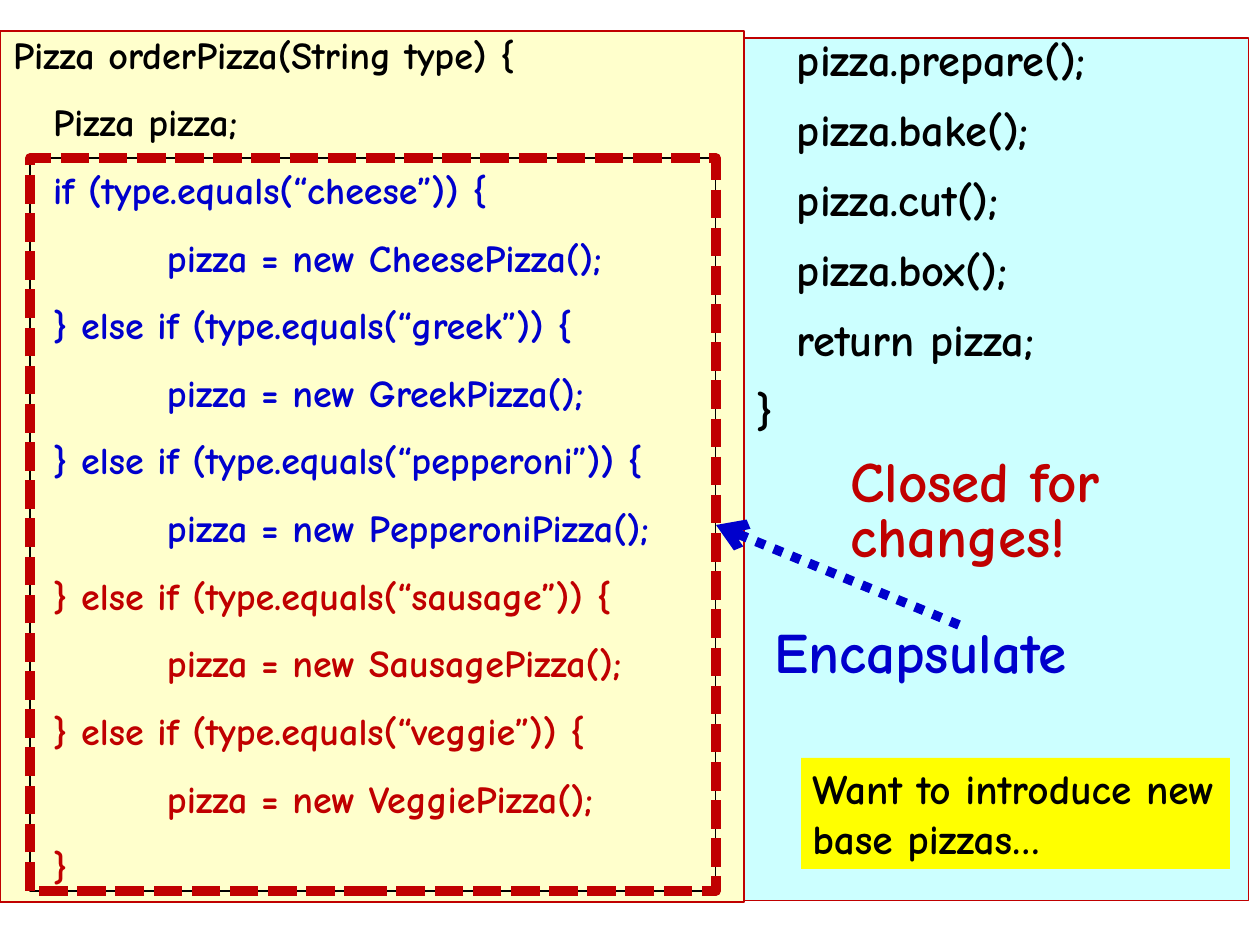
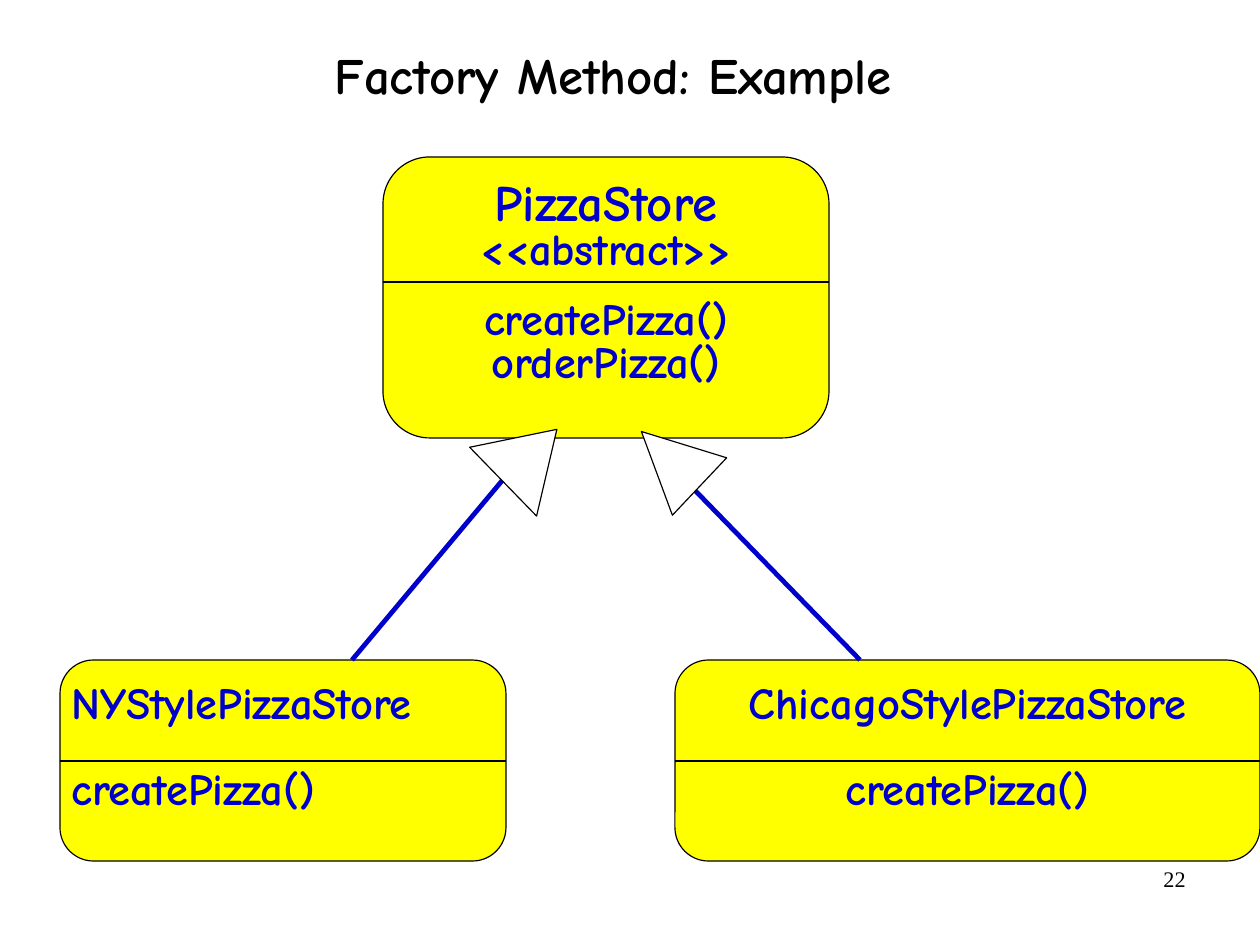
from lxml import etree
from pptx import Presentation
from pptx.dml.color import RGBColor
from pptx.enum.dml import MSO_LINE
from pptx.enum.shapes import MSO_CONNECTOR, MSO_SHAPE
from pptx.enum.text import MSO_ANCHOR, MSO_AUTO_SIZE, PP_ALIGN
from pptx.oxml.ns import qn
from pptx.util import Emu, Pt

# Shared look; the slide is 28 by 21 cm
PX = 8000
WIDTH, HEIGHT = 1260, 945
HUES = {
    "black": "000000", "white": "FFFFFF", "blue": "0000CC", "red": "C00000",
    "cream": "FFFFCC", "cyan": "CCFFFF", "yellow": "FFFF00",
}
FONT, SERIF = "Comic Neue", "Times New Roman"
DEPTHS = (13, 53, 167)  # left edge of each code level
LEFT, CENTER, RIGHT = PP_ALIGN.LEFT, PP_ALIGN.CENTER, PP_ALIGN.RIGHT
TOP, MIDDLE = MSO_ANCHOR.TOP, MSO_ANCHOR.MIDDLE
RECT, ROUND = MSO_SHAPE.RECTANGLE, MSO_SHAPE.ROUNDED_RECTANGLE
WEDGE = MSO_SHAPE.ISOSCELES_TRIANGLE
DASH, DOT = MSO_LINE.SQUARE_DOT, MSO_LINE.ROUND_DOT
STRAIGHT = MSO_CONNECTOR.STRAIGHT
NO_FIT = MSO_AUTO_SIZE.NONE

ORDER = [
    (0, "Pizza orderPizza(String type) {", "black"),
    (1, "Pizza pizza;", "black"),
    (1, "if (type.equals(“cheese”)) {", "blue"),
    (2, "pizza = new CheesePizza();", "blue"),
    (1, "} else if (type.equals(“greek”)) {", "blue"),
    (2, "pizza = new GreekPizza();", "blue"),
    (1, "} else if (type.equals(“pepperoni”)) {", "blue"),
    (2, "pizza = new PepperoniPizza();", "blue"),
    (1, "} else if (type.equals(“sausage”)) {", "red"),
    (2, "pizza = new SausagePizza();", "red"),
    (1, "} else if (type.equals(“veggie”)) {", "red"),
    (2, "pizza = new VeggiePizza();", "red"),
    (1, "}", "red"),
]
FINISH = [
    (1, "pizza.prepare();", "black"),
    (1, "pizza.bake();", "black"),
    (1, "pizza.cut();", "black"),
    (1, "pizza.box();", "black"),
    (1, "return pizza;", "black"),
    (0, "}", "black"),
]


def px(*nums):
    return [Emu(num * PX) for num in nums]


def hue(name):
    return RGBColor.from_string(HUES[name])


def place(shape, box):
    shape.left, shape.top, shape.width, shape.height = px(*box)


def paint(shape, fill=None, line=None, weight=0.75, dash=None):
    if fill:
        shape.fill.solid()
        shape.fill.fore_color.rgb = hue(fill)
    else:
        shape.fill.background()
    if line:
        stroke(shape.line, line, weight, dash)
    else:
        shape.line.fill.background()


def stroke(line, ink, weight, dash=None):
    line.color.rgb = hue(ink)
    line.width = Pt(weight)
    if dash:
        line.dash_style = dash


def form(slide, kind, box, turn=0, **look):
    shape = slide.shapes.add_shape(kind, *px(*box))
    shape.shadow.inherit = False
    shape.rotation = turn
    paint(shape, **look)
    return shape


def link(slide, start, end, ink, weight, dash=None, head=None):
    line = slide.shapes.add_connector(STRAIGHT, *px(*start, *end))
    stroke(line.line, ink, weight, dash)
    if head:
        etree.SubElement(line.line._get_or_add_ln(), qn("a:tailEnd"), type=head)
    etree.SubElement(line._element.spPr, qn("a:effectLst"))


def frame(shape, inset=None, anchor=TOP):
    text = shape.text_frame
    text.word_wrap = True
    text.auto_size = NO_FIT
    text.vertical_anchor = anchor
    if inset is not None:
        text.margin_left, text.margin_top = px(inset, inset)
        text.margin_right, text.margin_bottom = px(inset, inset)
    return text


def write(text, words, size, ink="black", align=LEFT, lead=1.0,
          pre=0, post=0, pad=0, font=FONT, bold=True):
    """Fill the first paragraph if it is free, else add one."""
    para = text.paragraphs[0] if not text.text else text.add_paragraph()
    para.text = words
    para.alignment = align
    para.line_spacing = lead
    para.space_before, para.space_after = Pt(pre), Pt(post)
    props = para._p.get_or_add_pPr()
    props.set("marL", str(pad * PX))
    props.set("indent", "0")
    etree.SubElement(props, qn("a:buNone"))
    para.font.name = font
    para.font.size = Pt(size)
    para.font.bold = bold
    para.font.color.rgb = hue(ink)


def code(shape, rows, size, lead):
    text = frame(shape, 0)
    for depth, words, ink in rows:
        write(text, words, size, ink, lead=lead, post=13.8, pad=DEPTHS[depth])


def label(slide, box, words, size, **style):
    text = frame(slide.shapes.add_textbox(*px(*box)))
    write(text, words, size, **style)


def title(slide, words):
    place(slide.shapes.title, (30, 0, 1167, 157))
    text = frame(slide.shapes.title, 0, MIDDLE)
    write(text, words, 32, align=CENTER, lead=0.88)


def entity(slide, box, split, rows, align=CENTER):
    """UML class: rounded box, rows of (words, size, gap) and a divider."""
    left, top, width, height = box
    form(slide, ROUND, box, fill="yellow", line="black")
    area = (left, top + 20, width, height - 64)
    text = frame(slide.shapes.add_textbox(*px(*area)))
    for words, size, gap in rows:
        write(text, words, size, "blue", align, 0.8, gap)
    link(slide, (left, split), (left + width, split), "black", 0.75)


def order_slide(deck):
    slide = deck.slides.add_slide(deck.slide_layouts[1])
    head = slide.shapes.title._element
    head.getparent().remove(head)

    # Code panels
    body = slide.placeholders[1]
    place(body, (0, 31, 744, 871))
    paint(body, "cream", "red")
    code(body, ORDER, 24, 1.0)
    panel = form(slide, RECT, (744, 38, 505, 863), fill="cyan", line="red")
    code(panel, FINISH, 28, 0.9)

    # Marked part
    for ink, weight, dash in (("black", 0.75, None), ("red", 6, DASH)):
        form(slide, RECT, (30, 158, 686, 733), line=ink, weight=weight, dash=dash)

    # Remarks
    label(slide, (763, 624, 391, 66), "Encapsulate", 36, ink="blue", lead=0.8)
    link(slide, (959, 625), (716, 525), "blue", 6, DOT, "arrow")
    label(slide, (839, 453, 391, 121), "Closed for changes!", 36, ink="red", lead=0.8)
    note = form(slide, RECT, (801, 758, 429, 111), fill="yellow")
    write(frame(note), "Want to introduce new base pizzas…", 26)


def store_slide(deck):
    slide = deck.slides.add_slide(deck.slide_layouts[5])
    label(slide, (903, 860, 294, 65), "22", 14, align=RIGHT, font=SERIF, bold=False)
    title(slide, "Factory Method: Example")

    # Classes
    entity(slide, (383, 157, 446, 281), 282, [
        ("PizzaStore", 32, 0), ("<<abstract>>", 28, 0),
        ("createPizza()", 28, 17.3), ("orderPizza()", 28, 0)])
    for left, width, name, align in (
            (60, 446, "NYStylePizzaStore", LEFT),
            (675, 585, "ChicagoStylePizzaStore", CENTER)):
        rows = [(name, 28, 0), ("createPizza()", 28, 26.9)]
        entity(slide, (left, 660, width, 201), 761, rows, align)

    # Inheritance
    for start, end in ((352, 537), (860, 645)):
        link(slide, (start, 660), (end, 439), "blue", 3, head="triangle")
    for box, turn in (((482, 418, 96, 75), 45.8), ((631, 419, 79, 80), 313.4)):
        form(slide, WEDGE, box, turn, fill="white", line="black")


def main():
    deck = Presentation()
    deck.slide_width, deck.slide_height = px(WIDTH, HEIGHT)
    order_slide(deck)
    store_slide(deck)
    deck.save("out.pptx")


if __name__ == "__main__":
    main()
